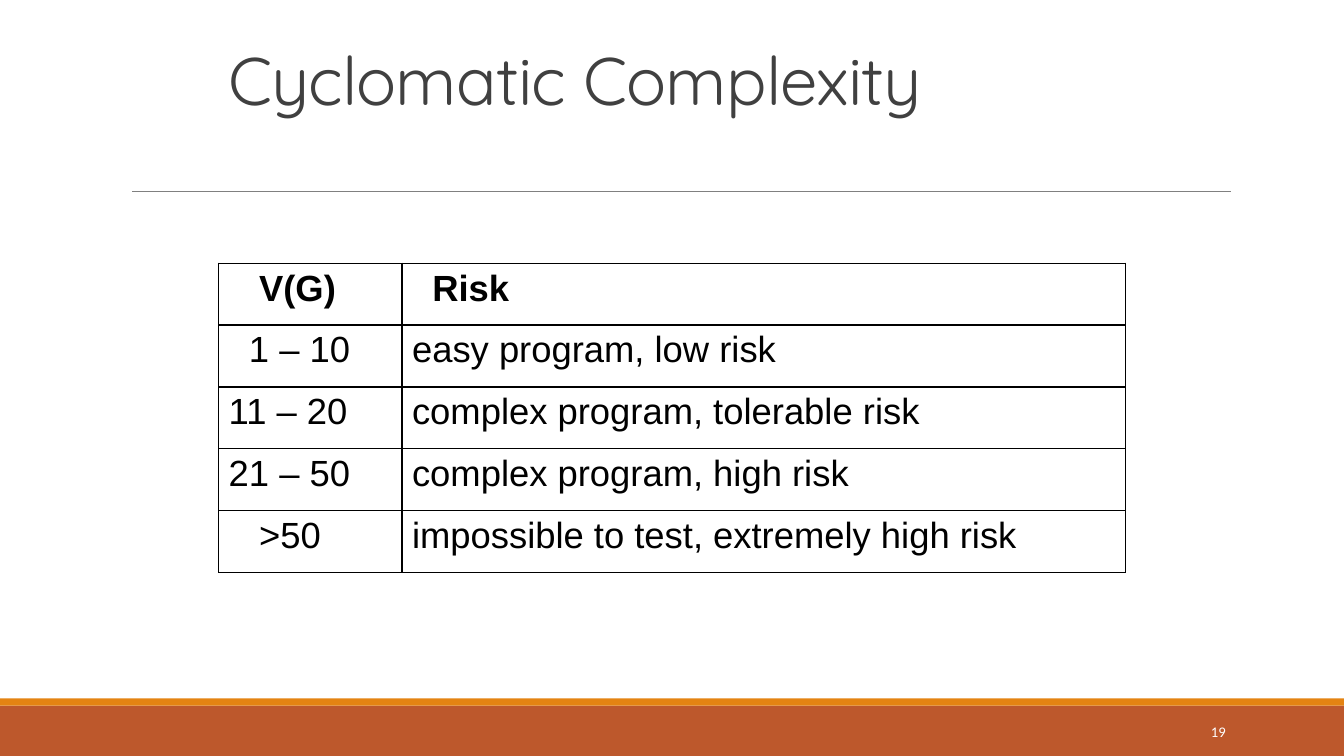
"""Build the Cyclomatic Complexity slide with its table of risk levels."""
from dataclasses import dataclass

from lxml.etree import SubElement
from pptx import Presentation
from pptx.dml.color import RGBColor
from pptx.enum.shapes import MSO_CONNECTOR, MSO_SHAPE
from pptx.enum.text import MSO_ANCHOR, PP_ALIGN
from pptx.oxml.ns import qn
from pptx.slide import Slide
from pptx.table import _Cell
from pptx.text.text import TextFrame
from pptx.util import Cm, Pt

BLACK = RGBColor(0x00, 0x00, 0x00)
WHITE = RGBColor(0xFF, 0xFF, 0xFF)
TITLE_GRAY = RGBColor(0x40, 0x40, 0x40)
RULE_GRAY = RGBColor(0x80, 0x80, 0x80)
RUST = RGBColor(0xBD, 0x58, 0x2C)
ORANGE = RGBColor(0xE4, 0x83, 0x12)

SLIDE_WIDTH, SLIDE_HEIGHT = 33.87, 19.05
CONTENT_LEFT = 5.51
COLUMN_WIDTHS = (4.62, 18.24)
ROW_HEIGHT = 1.56
SPACE_WIDTH = 0.255


@dataclass(frozen=True)
class Band:
    """A full-width footer band, in centimetres."""
    top: float
    height: float
    color: RGBColor


@dataclass(frozen=True)
class RiskRow:
    """One table row, with its cell indents counted in spaces."""
    complexity: str
    risk: str
    complexity_indent: int = 0
    risk_indent: int = 0
    bold: bool = False


BANDS = (Band(17.78, 1.27, RUST), Band(17.6, 0.18, ORANGE))
RISK_ROWS = (
    RiskRow("V(G)", "Risk", 3, 2, True),
    RiskRow("1 – 10", "easy program, low risk", 2),
    RiskRow("11 – 20", "complex program, tolerable risk"),
    RiskRow("21 – 50", "complex program, high risk"),
    RiskRow(">50", "impossible to test, extremely high risk", 3),
)


def write_text(frame: TextFrame, text: str, *, font: str, size: float, color: RGBColor,
               bold: bool = False, align: PP_ALIGN = PP_ALIGN.LEFT,
               anchor: MSO_ANCHOR = MSO_ANCHOR.TOP, line_spacing: float = 1.0,
               tracking: float = 0, indent: float = 0) -> None:
    """Write one formatted paragraph into a text frame."""
    frame.word_wrap = True
    frame.vertical_anchor = anchor
    para = frame.paragraphs[0]
    para.alignment = align
    para.line_spacing = line_spacing
    if indent:
        para._p.get_or_add_pPr().set("marL", str(Cm(indent)))
    span = para.add_run()
    span.text = text
    span.font.name = font
    span.font.size = Pt(size)
    span.font.bold = bold
    span.font.color.rgb = color
    if tracking:
        span.font._element.set("spc", str(round(tracking * 100)))


def draw_band(page: Slide, band: Band) -> None:
    """Draw one footer band."""
    shape = page.shapes.add_shape(
        MSO_SHAPE.RECTANGLE, 0, Cm(band.top), Cm(SLIDE_WIDTH), Cm(band.height))
    shape.shadow.inherit = False
    shape.fill.solid()
    shape.fill.fore_color.rgb = band.color
    shape.line.fill.background()


def draw_title_rule(page: Slide) -> None:
    """Draw the thin line under the title."""
    rule = page.shapes.add_connector(
        MSO_CONNECTOR.STRAIGHT, Cm(3.33), Cm(4.82), Cm(31.01), Cm(4.82))
    rule.line.color.rgb = RULE_GRAY
    rule.line.width = Pt(0.5)
    SubElement(rule._element.spPr, qn("a:effectLst"))


def outline_cell(cell: _Cell) -> None:
    """Give a cell black borders and no fill."""
    properties = cell._tc.get_or_add_tcPr()
    for side in ("lnL", "lnR", "lnT", "lnB"):
        border = SubElement(properties, qn(f"a:{side}"), w=str(Pt(1)))
        fill = SubElement(border, qn("a:solidFill"))
        SubElement(fill, qn("a:srgbClr"), val=str(BLACK))
    cell.fill.background()


def draw_risk_table(page: Slide) -> None:
    """Draw the table that maps complexity to risk."""
    table = page.shapes.add_table(
        len(RISK_ROWS), len(COLUMN_WIDTHS), Cm(CONTENT_LEFT), Cm(6.63),
        Cm(sum(COLUMN_WIDTHS)), Cm(ROW_HEIGHT * len(RISK_ROWS))).table
    table.first_row = False
    table.horz_banding = False
    for column, width in zip(table.columns, COLUMN_WIDTHS):
        column.width = Cm(width)
    for row, content in zip(table.rows, RISK_ROWS):
        row.height = Cm(ROW_HEIGHT)
        entries = ((content.complexity, content.complexity_indent),
                   (content.risk, content.risk_indent))
        for cell, (text, spaces) in zip(row.cells, entries):
            outline_cell(cell)
            write_text(cell.text_frame, text, font="Arial", size=26, color=BLACK,
                       bold=content.bold, indent=spaces * SPACE_WIDTH)


def main() -> None:
    """Assemble and save the deck."""
    deck = Presentation()
    deck.slide_width, deck.slide_height = Cm(SLIDE_WIDTH), Cm(SLIDE_HEIGHT)
    page = deck.slides.add_slide(deck.slide_layouts[6])
    for band in BANDS:
        draw_band(page, band)
    draw_title_rule(page)
    number_box = page.shapes.add_textbox(Cm(27.51), Cm(17.93), Cm(3.63), Cm(1.02))
    write_text(number_box.text_frame, "19", font="Calibri", size=10.5, color=WHITE,
               align=PP_ALIGN.RIGHT, anchor=MSO_ANCHOR.MIDDLE)
    title_box = page.shapes.add_textbox(Cm(CONTENT_LEFT), Cm(0.76), Cm(22.86), Cm(2.36))
    write_text(title_box.text_frame, "Cyclomatic Complexity", font="Quicksand", size=48,
               color=TITLE_GRAY, anchor=MSO_ANCHOR.BOTTOM, line_spacing=0.85, tracking=-0.5)
    draw_risk_table(page)
    deck.save("out.pptx")


if __name__ == "__main__":
    main()
